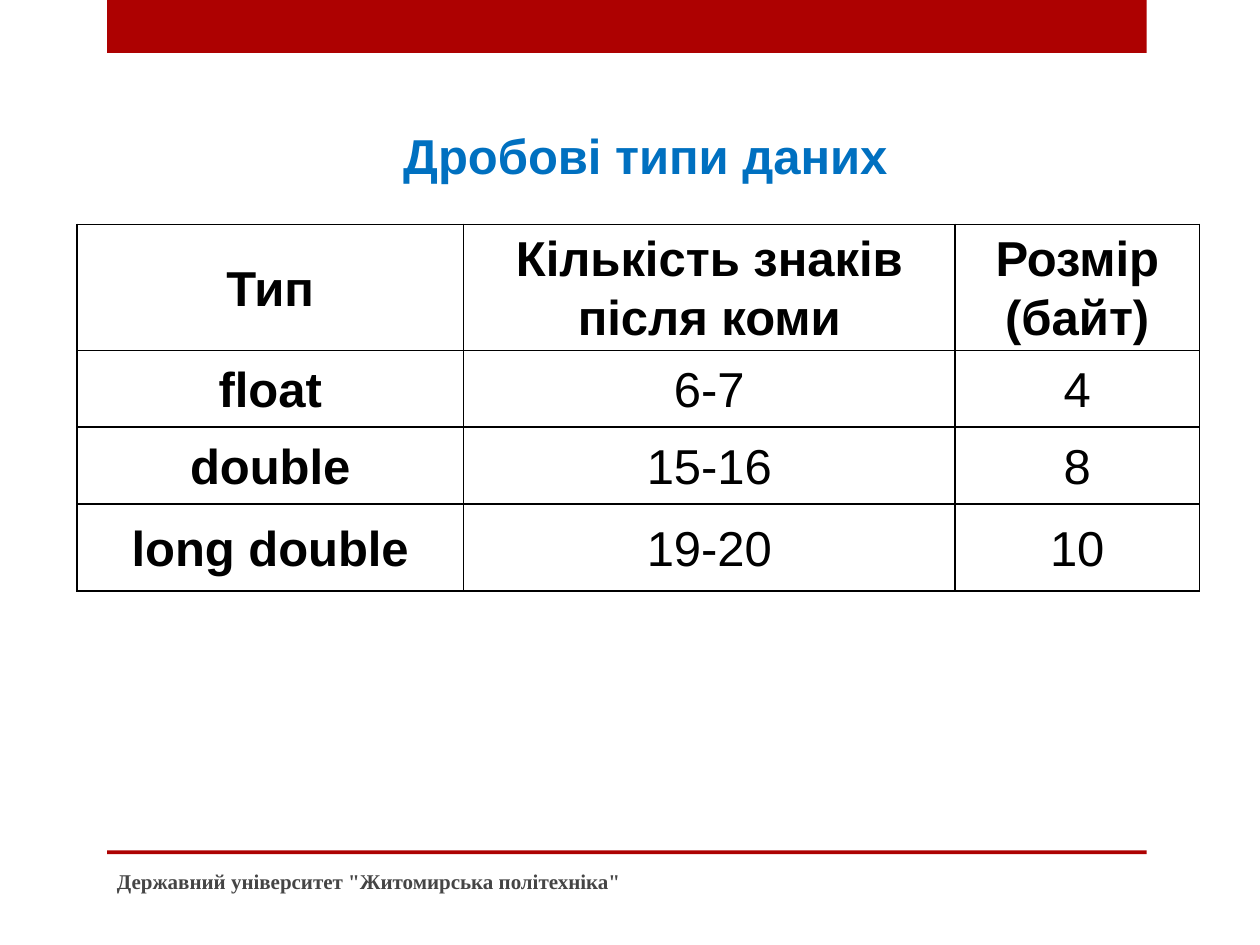
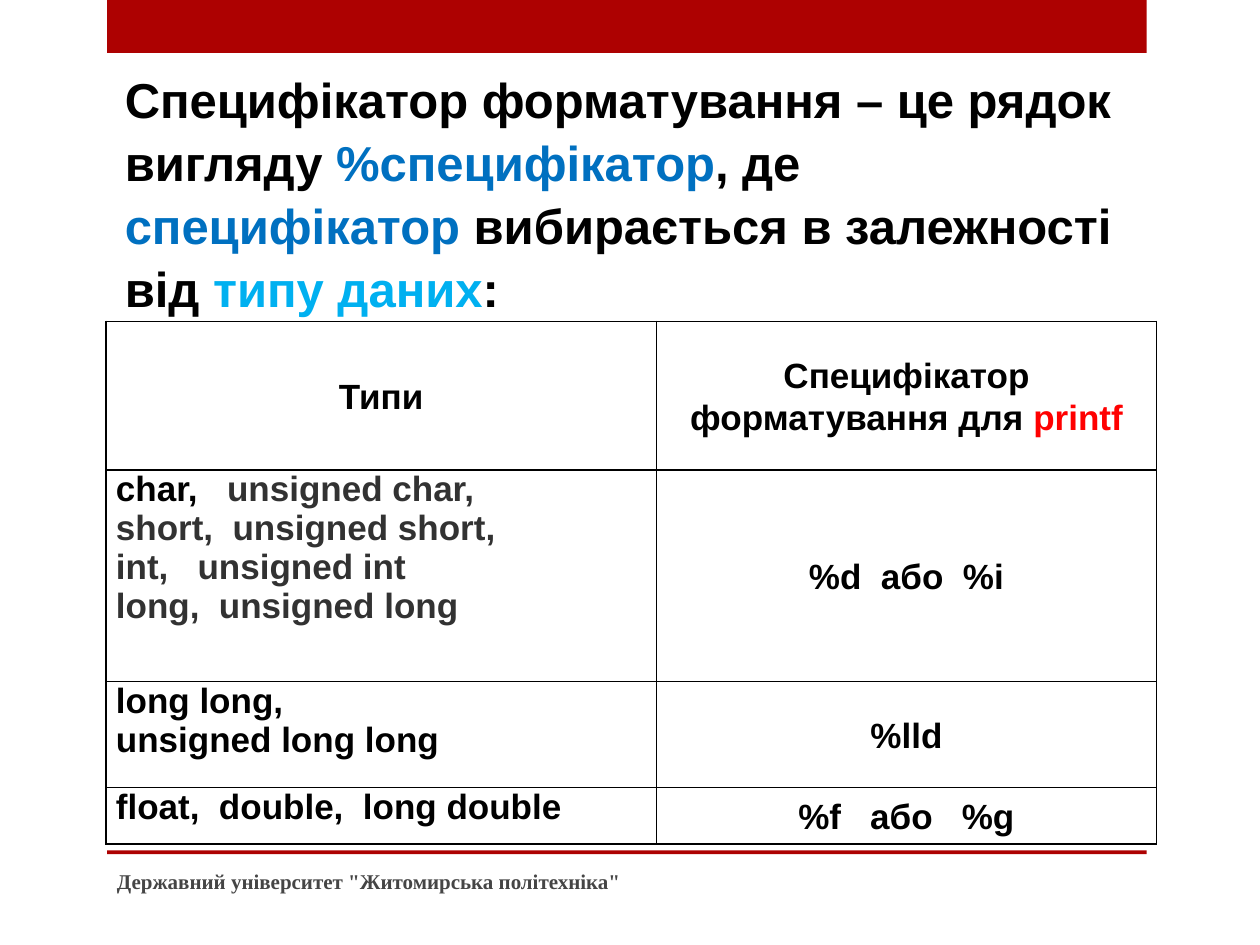
"""Builds two slides on C data types and printf format specifiers."""
from lxml.etree import SubElement
from pptx import Presentation
from pptx.dml.color import RGBColor
from pptx.enum.shapes import MSO_SHAPE
from pptx.enum.text import MSO_ANCHOR, MSO_AUTO_SIZE, PP_ALIGN
from pptx.oxml.ns import qn
from pptx.util import Inches, Pt

RED, BLUE, SKY, BLACK, DARK = "AD0101", "0070C0", "00B0F0", "000000", "323232"
FOOTER = 'Державний університет "Житомирська політехніка"'
BANDS = [(0, 0.42), (6.75, 0.03)]
TITLE_LINES = {"alignment": PP_ALIGN.LEFT, "line_spacing": 1.07}
CENTRED = {"alignment": PP_ALIGN.CENTER, "line_spacing": 1.07,
           "space_before": Pt(3), "space_after": Pt(3)}
PLAIN = {"alignment": PP_ALIGN.LEFT}


def color(value):
    return RGBColor.from_string(value)


def write(frame, paragraphs, layout, size, bold=True, font="Arial"):
    for index, runs in enumerate(paragraphs):
        paragraph = frame.paragraphs[0] if index == 0 else frame.add_paragraph()
        for name, value in layout.items():
            setattr(paragraph, name, value)
        for text, ink in runs:
            for number, line in enumerate(text.split("\n")):
                if number:
                    paragraph.add_line_break()
                run = paragraph.add_run()
                run.text = line
                look = {"name": font, "size": Pt(size), "bold": bold}
                for name, value in look.items():
                    setattr(run.font, name, value)
                run.font.color.rgb = color(ink)


fraction_rows = [
    ["Тип", "Кількість знаків після коми", "Розмір (байт)"],
    ["float", "6-7", "4"],
    ["double", "15-16", "8"],
    ["long double", "19-20", "10"],
]
specifier_rows = [
    [[[("Типи", BLACK)]],
     [[("Специфікатор форматування для ", BLACK), ("printf", "FF0000")]]],
    [[[("char,   ", BLACK),
       ("unsigned char,\nshort,  unsigned short,\nint,   unsigned int", DARK)],
      [("long,  unsigned long", DARK)]],
     [[("%d  або  %i", BLACK)]]],
    [[[("long long, \nunsigned long long", BLACK)]], [[("%lld", BLACK)]]],
    [[[("float,  double,  long double", BLACK)]], [[("%f   або   %g", BLACK)]]],
]
slides = [
    {"title": [("Дробові типи даних", BLUE)],
     "title_box": (3.1, 0.91, 4.09, 0.57), "title_wrap": False, "title_indent": 0,
     "table_box": (0.61, 1.78, 8.91, 2.91), "margin": 0.07, "size": 28,
     "columns": [3.07, 3.9, 1.94], "heights": [1, 0.61, 0.61, 0.69],
     "rows": [[[[(text, BLACK)]] for text in row] for row in fraction_rows],
     "bold_values": False, "list_column": False},
    {"title": [("Специфікатор форматування – це рядок вигляду ", BLACK),
               ("%специфікатор", BLUE), (", де ", BLACK), ("специфікатор", BLUE),
               (" вибирається в залежності від ", BLACK), ("типу даних", SKY),
               (":", BLACK)],
     "title_box": (0.84, 0.47, 8.35, 1.99), "title_wrap": True, "title_indent": 0.05,
     "table_box": (0.84, 2.55, 8.34, 4.15), "margin": 0.08, "size": 20,
     "columns": [4.37, 3.97], "heights": [1.18, 1.68, 0.84, 0.45],
     "rows": specifier_rows, "bold_values": True, "list_column": True},
]

deck = Presentation()
deck.slide_width, deck.slide_height = Inches(10), Inches(7.5)

for content in slides:
    slide = deck.slides.add_slide(deck.slide_layouts[5])

    for top, height in BANDS:
        band = slide.shapes.add_shape(MSO_SHAPE.RECTANGLE, Inches(0.85), Inches(top),
                                      Inches(8.25), Inches(height))
        band.shadow.inherit = False
        band.fill.solid()
        band.fill.fore_color.rgb = color(RED)
        band.line.fill.background()

    title = slide.shapes.title
    for side, value in zip(("left", "top", "width", "height"), content["title_box"]):
        setattr(title, side, Inches(value))
    title_frame = {"auto_size": MSO_AUTO_SIZE.NONE, "word_wrap": content["title_wrap"],
                   "vertical_anchor": MSO_ANCHOR.TOP}
    for name, value in title_frame.items():
        setattr(title.text_frame, name, value)
    write(title.text_frame, [content["title"]], TITLE_LINES, 28)
    title_properties = title.text_frame.paragraphs[0]._p.get_or_add_pPr()
    title_properties.set("marL", str(Inches(content["title_indent"])))
    title_properties.set("indent", "0")

    rows = content["rows"]
    table = slide.shapes.add_table(len(rows), len(rows[0]),
                                   *map(Inches, content["table_box"])).table
    table.first_row = table.horz_banding = False
    for column, width in zip(table.columns, content["columns"]):
        column.width = Inches(width)
    for row, height in zip(table.rows, content["heights"]):
        row.height = Inches(height)
    for r, row in enumerate(rows):
        for c, paragraphs in enumerate(row):
            cell = table.cell(r, c)
            is_list = content["list_column"] and r > 0 and c == 0
            cell_format = {"margin_left": Inches(content["margin"]),
                           "margin_right": Inches(content["margin"]),
                           "margin_top": 0, "margin_bottom": 0,
                           "vertical_anchor": MSO_ANCHOR.TOP if is_list else MSO_ANCHOR.MIDDLE}
            for name, value in cell_format.items():
                setattr(cell, name, value)
            properties = cell._tc.get_or_add_tcPr()
            for edge in ("lnL", "lnR", "lnT", "lnB"):
                border = SubElement(properties, qn(f"a:{edge}"), w=str(Pt(1)))
                ink = SubElement(border, qn("a:solidFill"))
                SubElement(ink, qn("a:srgbClr"), val=BLACK)
            cell.fill.background()
            write(cell.text_frame, paragraphs, PLAIN if is_list else CENTRED,
                  content["size"], content["bold_values"] or r == 0 or c == 0)

    footer = slide.shapes.add_textbox(Inches(0.83), Inches(6.79), Inches(5.33), Inches(0.4))
    footer.text_frame.word_wrap = True
    footer.text_frame.vertical_anchor = MSO_ANCHOR.MIDDLE
    write(footer.text_frame, [[(FOOTER, "454545")]], PLAIN, 12, font="Times New Roman")

deck.save("out.pptx")
